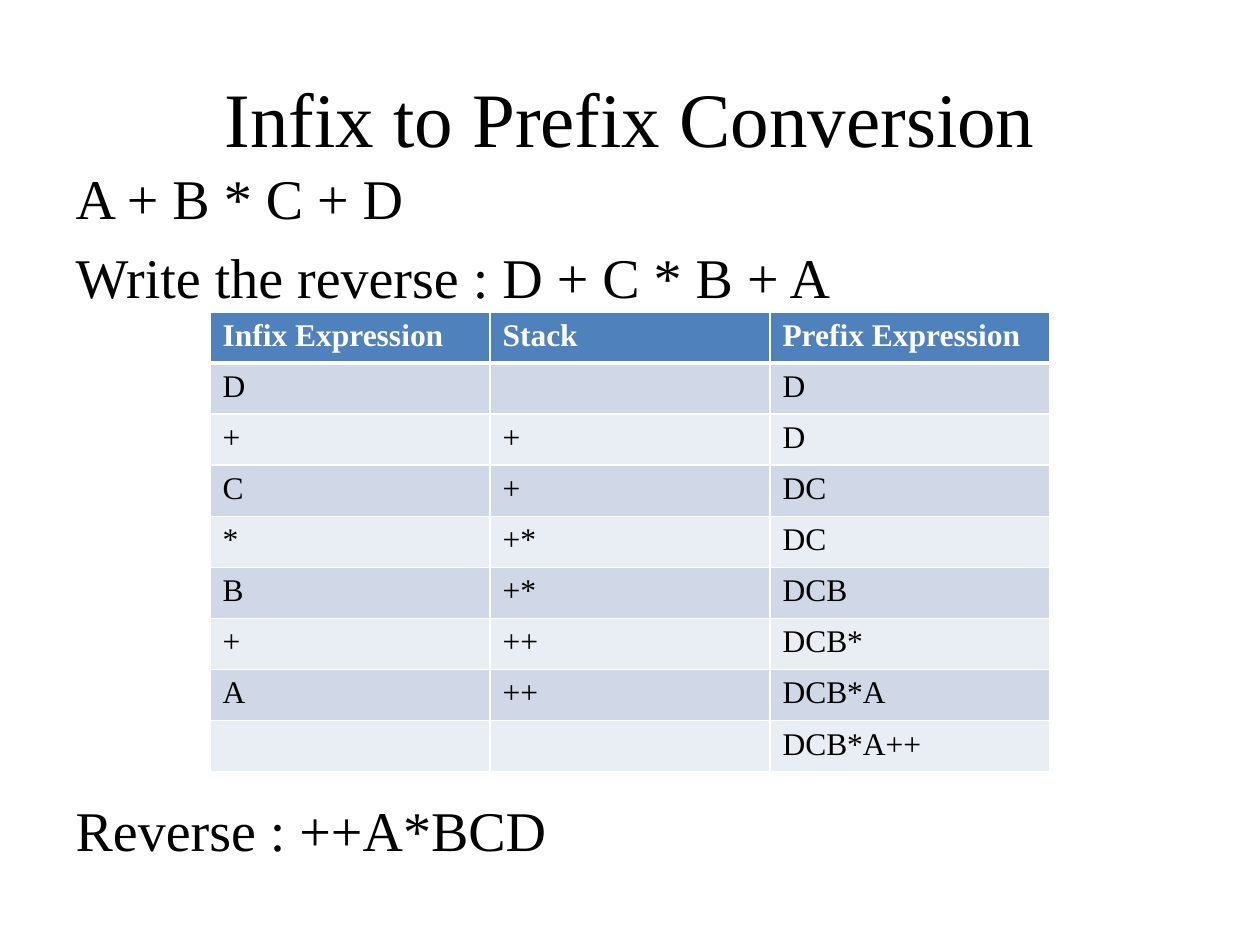
from dataclasses import dataclass

from lxml import etree
from pptx import Presentation
from pptx import util as u
from pptx.dml.color import RGBColor
from pptx.enum import text
from pptx.oxml import ns

COLORS = {
    "ink": "000000",
    "paper": "FFFFFF",
    "header": "4F81BD",
    "odd_row": "D0D8E8",
    "even_row": "E9EDF4",
}
FONT = "Times New Roman"
SLIDE_WIDTH, SLIDE_HEIGHT = u.Inches(10), u.Inches(7.5)


@dataclass(frozen=True)
class Box:
    """A frame given as shares of the slide's width and height."""
    left: float
    top: float
    width: float
    height: float

    def lengths(self) -> tuple[int, ...]:
        return (int(self.left * SLIDE_WIDTH), int(self.top * SLIDE_HEIGHT),
                int(self.width * SLIDE_WIDTH), int(self.height * SLIDE_HEIGHT))


@dataclass(frozen=True)
class Step:
    infix: str
    stack: str
    prefix: str


TITLE_BOX = Box(0.05, 0.04, 0.9, 1 / 6)
BODY_BOX = Box(0.05, 1 / 6, 0.9, 0.81)
TABLE_BOX = Box(1 / 6, 0.33, 2 / 3, 0.4867)
TABLE_GAP = 278  # points before the result, leaving room for the table

STEPS = [
    Step("Infix Expression", "Stack", "Prefix Expression"),
    Step("D", "", "D"),
    Step("+", "+", "D"),
    Step("C", "+", "DC"),
    Step("*", "+*", "DC"),
    Step("B", "+*", "DCB"),
    Step("+", "++", "DCB*"),
    Step("A", "++", "DCB*A"),
    Step("", "", "DCB*A++"),
]


def write(paragraph, words: str, *, size: float, color: str = "ink",
          bold: bool = False, align=None, space_before=None) -> None:
    paragraph.alignment = align
    if space_before is not None:
        paragraph.space_before = u.Pt(space_before)
    if words:
        run = paragraph.add_run()
        run.text = words
    font = run.font if words else paragraph.font
    font.name, font.size, font.bold = FONT, u.Pt(size), bold
    font.color.rgb = RGBColor.from_string(COLORS[color])


def place(shape, box: Box) -> None:
    shape.left, shape.top, shape.width, shape.height = box.lengths()


def remove_bullet(paragraph) -> None:
    properties = paragraph._p.get_or_add_pPr()
    properties.set("marL", "0")
    properties.set("indent", "0")
    etree.SubElement(properties, ns.qn("a:buNone"))


def draw_borders(cell, bottom: float) -> None:
    """Rule the cell with 1 pt lines and a bottom line of its own width."""
    properties = cell._tc.get_or_add_tcPr()
    widths = {"a:lnL": 1, "a:lnR": 1, "a:lnT": 1, "a:lnB": bottom}
    for position, (tag, width) in enumerate(widths.items()):
        line = etree.Element(ns.qn(tag), w=str(u.Pt(width)))
        fill = etree.SubElement(line, ns.qn("a:solidFill"))
        etree.SubElement(fill, ns.qn("a:srgbClr"), val=COLORS["paper"])
        properties.insert(position, line)


def add_steps_table(slide, steps: list[Step], box: Box) -> None:
    table = slide.shapes.add_table(len(steps), 3, *box.lengths()).table
    for row, step in enumerate(steps):
        is_header = row == 0
        fill = "header" if is_header else "odd_row" if row % 2 else "even_row"
        for column, words in enumerate((step.infix, step.stack, step.prefix)):
            cell = table.cell(row, column)
            cell.fill.solid()
            cell.fill.fore_color.rgb = RGBColor.from_string(COLORS[fill])
            draw_borders(cell, bottom=3 if is_header else 1)
            write(cell.text_frame.paragraphs[0], words, size=18,
                  color="paper" if is_header else "ink", bold=is_header)


def main() -> None:
    presentation = Presentation()
    presentation.slide_width, presentation.slide_height = SLIDE_WIDTH, SLIDE_HEIGHT
    slide = presentation.slides.add_slide(presentation.slide_layouts[1])

    title, body = slide.shapes.title, slide.placeholders[1]
    place(title, TITLE_BOX)
    title.text_frame.vertical_anchor = text.MSO_ANCHOR.MIDDLE
    write(title.text_frame.paragraphs[0], "Infix to Prefix Conversion", size=44,
          align=text.PP_ALIGN.CENTER)

    place(body, BODY_BOX)
    frame = body.text_frame
    frame.auto_size = text.MSO_AUTO_SIZE.NONE
    lines = [("A + B * C + D", None),
             ("Write the reverse : D + C * B + A", None),
             ("Reverse : ++A*BCD", TABLE_GAP)]
    for index, (words, gap) in enumerate(lines):
        paragraph = frame.add_paragraph() if index else frame.paragraphs[0]
        write(paragraph, words, size=32, space_before=gap)
        remove_bullet(paragraph)

    add_steps_table(slide, STEPS, TABLE_BOX)
    presentation.save("out.pptx")


if __name__ == "__main__":
    main()
